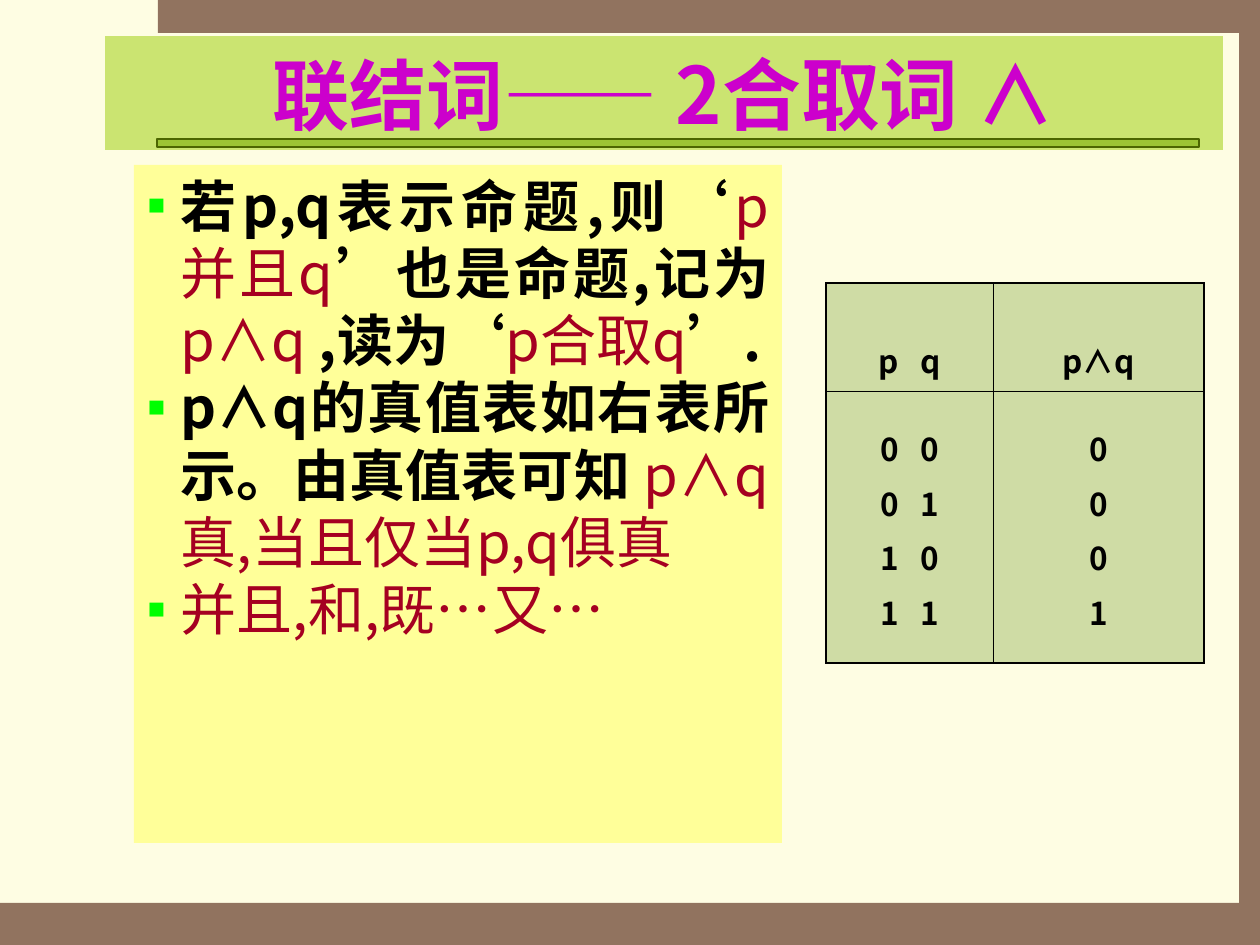
"""Build the slide on the logical connective "conjunction" with its truth table."""
from pptx import Presentation
from pptx.dml.color import RGBColor
from pptx.enum.shapes import MSO_SHAPE
from pptx.enum.text import MSO_ANCHOR, MSO_AUTO_SIZE, PP_ALIGN
from pptx.oxml import parse_xml
from pptx.oxml.ns import nsdecls, qn
from pptx.util import Emu, Pt

RECTANGLE = MSO_SHAPE.RECTANGLE
MIDDLE, TOP = MSO_ANCHOR.MIDDLE, MSO_ANCHOR.TOP
NO_AUTOFIT = MSO_AUTO_SIZE.NONE
CENTER, JUSTIFY = PP_ALIGN.CENTER, PP_ALIGN.JUSTIFY

SANS, SERIF = "Noto Sans CJK SC", "Times New Roman"
CREAM, BROWN, OLIVE, LIME = "FEFDE3", "91735F", "A1BD69", "99CC00"
YELLOW, MAGENTA, RED, BLACK, GREEN = "FFFF99", "CC00CC", "A50021", "000000", "00FF00"

BARS = [(0, 903, 1260, 42), (158, 0, 1102, 33), (1239, 32, 21, 872)]
TITLE = [("联结词", SANS, 44), ("——", SERIF, 44), (" 2合取词 ∧", SANS, 45)]
POINTS = [
    [("若p,q表示命题,则", SANS, BLACK), ("‘", SERIF, BLACK), ("p并且q", SANS, RED),
     ("’", SERIF, BLACK), ("也是命题,记为", SANS, BLACK), ("p∧q", SANS, RED),
     (" ,读为", SANS, BLACK), ("‘", SERIF, BLACK), ("p合取q", SANS, RED),
     ("’", SERIF, BLACK), (".", SANS, BLACK)],
    [("p∧q的真值表如右表所示。由真值表可知 ", SANS, BLACK),
     ("p∧q真,当且仅当p,q俱真", SANS, RED)],
    [("并且,和,既", SANS, RED), ("…", SERIF, RED), ("又", SANS, RED), ("…", SERIF, RED)],
]
TRUTH_TABLE = [
    [["p q"], ["p∧q"]],
    [["0 0", "0 1", "1 0", "1 1"], ["0", "0", "0", "1"]],
]


def px(length):
    return Emu(round(length * 914400 / 126))


def color(value):
    return RGBColor.from_string(value)


class SlideBuilder:
    """Holds the style and the current slide."""

    def __init__(self, presentation, background):
        self.slide = presentation.slides.add_slide(presentation.slide_layouts[1])
        self.fill(self.slide.background, background)

    def fill(self, target, value):
        target.fill.solid()
        target.fill.fore_color.rgb = color(value)

    def fade(self, properties, opacity):
        alpha = f'<a:alpha {nsdecls("a")} val="{opacity * 1000}"/>'
        properties.find(qn("a:solidFill"))[0].append(parse_xml(alpha))

    def bar(self, box, value, line=None):
        shape = self.slide.shapes.add_shape(RECTANGLE, *map(px, box))
        shape.shadow.inherit = False
        self.fill(shape, value)
        self.outline(shape, line)

    def outline(self, shape, line):
        if line:
            shape.line.color.rgb = color(line)
            shape.line.width = Pt(0.75)
        else:
            shape.line.fill.background()

    def run(self, paragraph, text, font, size, value, bold=True):
        run = paragraph.add_run()
        run.text = text
        run.font.size = Pt(size)
        run.font.bold = bold
        run.font.color.rgb = color(value)
        run.font.name = font
        properties = run.font._element
        properties.append(parse_xml(f'<a:ea {nsdecls("a")} typeface="{SANS}"/>'))
        return properties

    def placeholder(self, index, box, value, anchor, line=None):
        shape = self.slide.placeholders[index]
        shape.left, shape.top, shape.width, shape.height = map(px, box)
        self.slide.shapes.element.append(shape.element)
        self.fill(shape, value)
        self.outline(shape, line)
        frame = shape.text_frame
        frame.auto_size = NO_AUTOFIT
        frame.word_wrap = True
        frame.vertical_anchor = anchor
        return shape

    def title(self, box, runs):
        shape = self.placeholder(0, box, LIME, MIDDLE, CREAM)
        self.fade(shape.element.spPr, 50)
        paragraph = shape.text_frame.paragraphs[0]
        paragraph.alignment = CENTER
        for text, font, size in runs:
            self.run(paragraph, text, font, size, MAGENTA)

    def bullets(self, box, points):
        frame = self.placeholder(1, box, YELLOW, TOP).text_frame
        for number, runs in enumerate(points):
            paragraph = frame.add_paragraph() if number else frame.paragraphs[0]
            paragraph.alignment = JUSTIFY
            paragraph.line_spacing = 1.0
            paragraph.space_before = Pt(0)
            properties = paragraph._p.get_or_add_pPr()
            properties.set("marL", str(px(34)))
            properties.set("indent", str(px(-34)))
            for xml in (f'<a:buClr {nsdecls("a")}><a:srgbClr val="{GREEN}"/></a:buClr>',
                        f'<a:buFont {nsdecls("a")} typeface="{SERIF}"/>',
                        f'<a:buChar {nsdecls("a")} char="▪"/>'):
                properties.append(parse_xml(xml))
            for text, font, value in runs:
                self.run(paragraph, text, font, 32, value, value == BLACK)

    def borders(self, cell, widths):
        for side, width in zip("LRTB", widths):
            cell._tc.get_or_add_tcPr().append(parse_xml(
                f'<a:ln{side} {nsdecls("a")} w="{Pt(width)}"><a:solidFill>'
                f'<a:srgbClr val="{BLACK}"/></a:solidFill></a:ln{side}>'))

    def cell(self, cell, lines, top_margin):
        self.fill(cell, OLIVE)
        self.fade(cell._tc.tcPr, 50)
        cell.margin_top = px(top_margin)
        frame = cell.text_frame
        for number, line in enumerate(lines):
            paragraph = frame.add_paragraph() if number else frame.paragraphs[0]
            paragraph.alignment = CENTER
            paragraph.line_spacing = 1.2
            for character in line:
                properties = self.run(paragraph, character, SANS, 18, BLACK)
                if character == " ":
                    properties.set("spc", "800")

    def table(self, box, rows, widths, heights, top_margins):
        shape = self.slide.shapes.add_table(len(rows), len(widths), *map(px, box))
        table = shape.table
        for column, width in zip(table.columns, widths):
            column.width = px(width)
        outer, inner = 1.08, 0.45
        last_row, last_column = len(rows) - 1, len(widths) - 1
        for i, row in enumerate(rows):
            table.rows[i].height = px(heights[i])
            for j, lines in enumerate(row):
                on_edge = (j == 0, j == last_column, i == 0, i == last_row)
                cell = table.cell(i, j)
                self.borders(cell, [outer if edge else inner for edge in on_edge])
                self.cell(cell, lines, top_margins[i])


def main():
    presentation = Presentation()
    presentation.slide_width, presentation.slide_height = px(1260), px(945)
    builder = SlideBuilder(presentation, CREAM)
    for box in BARS:
        builder.bar(box, BROWN)
    builder.bar((157, 139, 1042, 8), OLIVE, BLACK)
    builder.title((104, 35, 1120, 116), TITLE)
    builder.bullets((134, 165, 648, 678), POINTS)
    builder.table((826, 283, 378, 380), TRUTH_TABLE, (167, 211), (108, 272), (45, 25))
    presentation.save("out.pptx")


if __name__ == "__main__":
    main()
